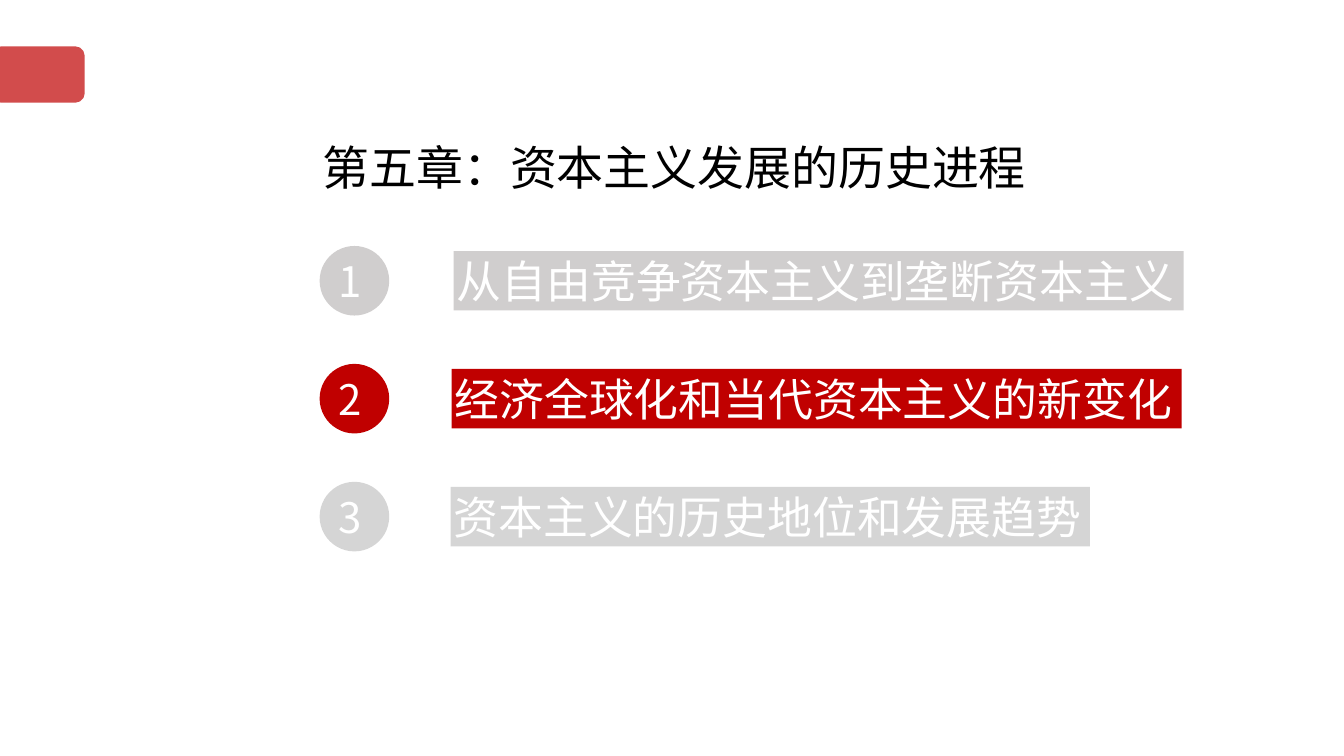
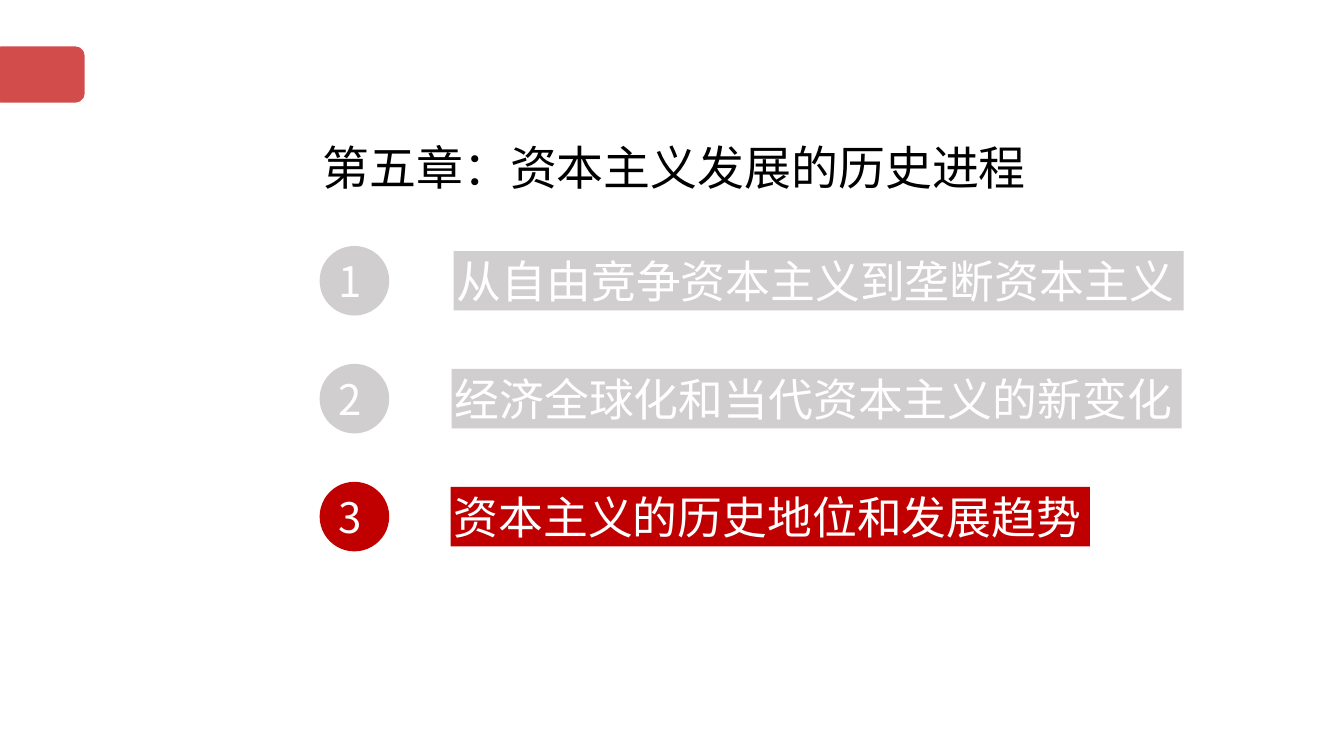
from dataclasses import dataclass

import lxml.etree
import pptx
import pptx.dml.color
import pptx.enum.shapes
import pptx.enum.text
import pptx.oxml.ns
import pptx.shapes.autoshape
import pptx.slide
import pptx.util

Inches = pptx.util.Inches
ShapeKind = pptx.enum.shapes.MSO_SHAPE


@dataclass(frozen=True)
class Theme:
    font: str = "Noto Sans CJK SC"
    accent: str = "C00000"
    muted: str = "D0CECE"
    pale: str = "D5D5D5"
    light: str = "FFFFFF"
    dark: str = "000000"
    title_size: float = 33.5
    section_size: float = 32
    number_size: float = 30
    tab_opacity: int = 70


@dataclass(frozen=True)
class Section:
    text: str
    left: float
    width: float
    idle_color: str


THEME = Theme()
CHAPTER = "第五章：资本主义发展的历史进程"
SECTIONS = (
    Section("从自由竞争资本主义到垄断资本主义", 4.5, 7.24, THEME.muted),
    Section("经济全球化和当代资本主义的新变化", 4.48, 7.24, THEME.muted),
    Section("资本主义的历史地位和发展趋势", 4.47, 6.34, THEME.pale),
)
ACTIVE_SECTIONS = (2, 3)
CONTENT_LEFT = 3.17
FIRST_CENTER = 2.785
ROW_STEP = 1.17
CIRCLE_SIZE = 0.69
BAR_HEIGHT = 0.59
TEXT_INSET = 0.03
NUMBER_INDENT = 0.09


def rgb(color: str) -> pptx.dml.color.RGBColor:
    return pptx.dml.color.RGBColor.from_string(color)


def add_filled_shape(slide: pptx.slide.Slide, kind: ShapeKind, left: float, top: float,
                     width: float, height: float, color: str) -> pptx.shapes.autoshape.Shape:
    shape = slide.shapes.add_shape(kind, Inches(left), Inches(top), Inches(width), Inches(height))
    shape.shadow.inherit = False
    shape.fill.solid()
    shape.fill.fore_color.rgb = rgb(color)
    shape.line.fill.background()
    return shape


def set_text(shape: pptx.shapes.autoshape.Shape, text: str, size: float, color: str) -> None:
    frame = shape.text_frame
    frame.text = text
    frame.word_wrap = False
    frame.vertical_anchor = pptx.enum.text.MSO_ANCHOR.MIDDLE
    frame.margin_left = frame.margin_right = Inches(TEXT_INSET)
    frame.margin_top = frame.margin_bottom = Inches(TEXT_INSET)
    paragraph = frame.paragraphs[0]
    paragraph.alignment = pptx.enum.text.PP_ALIGN.LEFT
    font = paragraph.runs[0].font
    font.size = pptx.util.Pt(size)
    font.color.rgb = rgb(color)
    font.name = THEME.font
    properties = paragraph.runs[0]._r.get_or_add_rPr()
    lxml.etree.SubElement(properties, pptx.oxml.ns.qn("a:ea"), typeface=THEME.font)


def add_corner_tab(slide: pptx.slide.Slide) -> None:
    tab = add_filled_shape(slide, ShapeKind.ROUNDED_RECTANGLE, -0.08, 0.46, 0.92, 0.56, THEME.accent)
    color = tab._element.spPr.find(".//" + pptx.oxml.ns.qn("a:srgbClr"))
    lxml.etree.SubElement(color, pptx.oxml.ns.qn("a:alpha"), val=str(THEME.tab_opacity * 1000))


def add_title(slide: pptx.slide.Slide) -> None:
    title = slide.shapes.add_textbox(Inches(CONTENT_LEFT), Inches(1.06), Inches(7.1), Inches(0.9))
    set_text(title, CHAPTER, THEME.title_size, THEME.dark)
    title.text_frame.auto_size = pptx.enum.text.MSO_AUTO_SIZE.SHAPE_TO_FIT_TEXT
    title.text_frame.paragraphs[0].line_spacing = 1.5


def add_section(slide: pptx.slide.Slide, section: Section, number: int, active: bool) -> None:
    color = THEME.accent if active else section.idle_color
    center = FIRST_CENTER + (number - 1) * ROW_STEP
    circle = add_filled_shape(slide, ShapeKind.OVAL, CONTENT_LEFT, center - CIRCLE_SIZE / 2,
                              CIRCLE_SIZE, CIRCLE_SIZE, color)
    set_text(circle, str(number), THEME.number_size, THEME.light)
    frame = circle.text_frame
    frame.word_wrap = True
    frame.margin_left = Inches(NUMBER_INDENT)
    frame.margin_right = frame.margin_top = frame.margin_bottom = 0
    bar = add_filled_shape(slide, ShapeKind.RECTANGLE, section.left, center - BAR_HEIGHT / 2,
                           section.width, BAR_HEIGHT, color)
    set_text(bar, section.text, THEME.section_size, THEME.light)
    bar.text_frame.auto_size = pptx.enum.text.MSO_AUTO_SIZE.SHAPE_TO_FIT_TEXT


def main() -> None:
    presentation = pptx.Presentation()
    presentation.slide_width = Inches(13.33)
    presentation.slide_height = Inches(7.5)
    for active_number in ACTIVE_SECTIONS:
        slide = presentation.slides.add_slide(presentation.slide_layouts[6])
        add_corner_tab(slide)
        add_title(slide)
        for number, section in enumerate(SECTIONS, start=1):
            add_section(slide, section, number, number == active_number)
    presentation.save("out.pptx")


if __name__ == "__main__":
    main()
